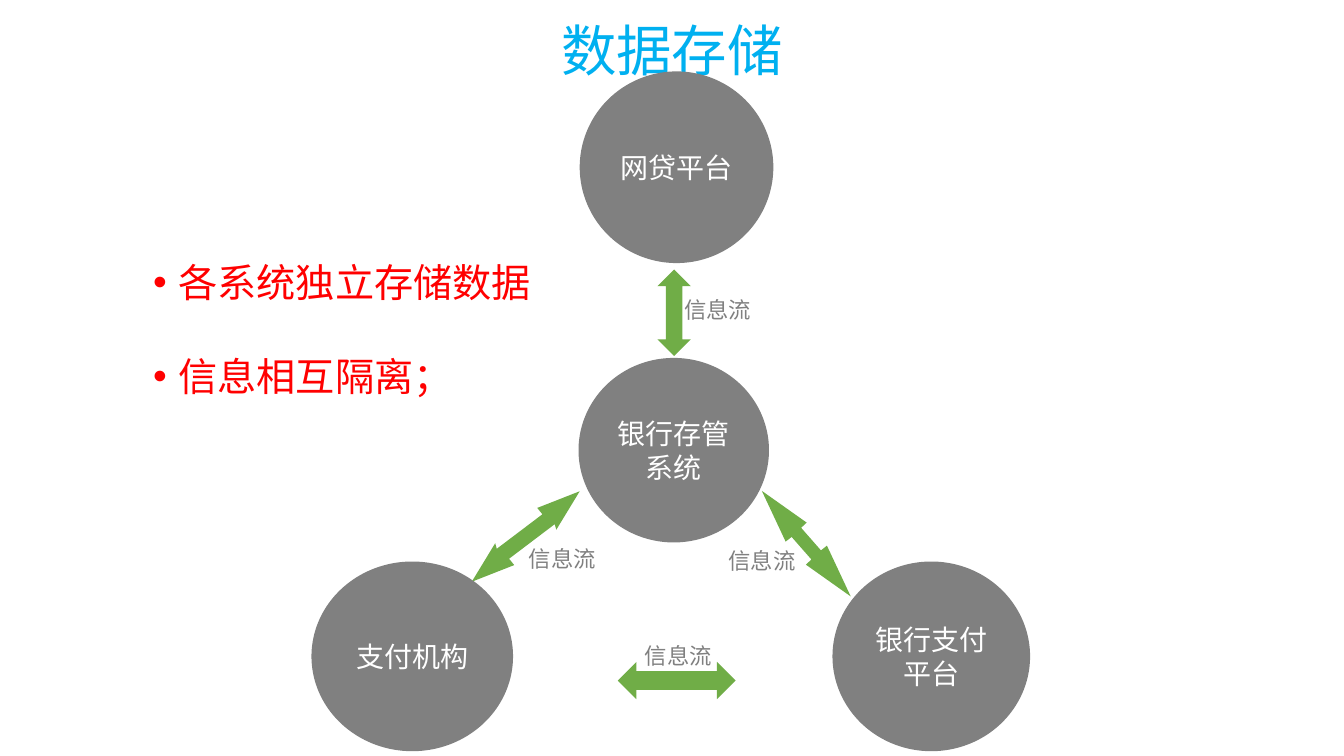
from lxml import etree
from pptx import Presentation
from pptx import util as u
from pptx.dml.color import RGBColor
from pptx.enum import shapes, text
from pptx.oxml import ns

BLUE = RGBColor(0x00, 0xB0, 0xF0)
GREEN = RGBColor(0x70, 0xAD, 0x47)
GREY = RGBColor(0x80, 0x80, 0x80)
RED = RGBColor(0xFF, 0x00, 0x00)
WHITE = RGBColor(0xFF, 0xFF, 0xFF)
CJK = "Noto Sans CJK SC"


def write(paragraph, content, *, size, color, font=CJK, align=None, spacing=None):
    paragraph.text = content
    paragraph.font.name = font
    paragraph.font.size = u.Pt(size)
    paragraph.font.color.rgb = color
    if align is not None:
        paragraph.alignment = align
    if spacing is not None:
        paragraph.line_spacing = spacing


def paint(shape, color):
    shape.shadow.inherit = False
    shape.fill.solid()
    shape.fill.fore_color.rgb = color
    shape.line.fill.background()


presentation = Presentation()
presentation.slide_width = u.Cm(33.87)
presentation.slide_height = u.Cm(19.05)
slide = presentation.slides.add_slide(presentation.slide_layouts[5])

# Title
title = slide.shapes.title
title.left, title.top, title.width, title.height = u.Cm(2.33), u.Cm(0), u.Cm(29.21), u.Cm(1.63)
title.text_frame.auto_size = text.MSO_AUTO_SIZE.NONE
title.text_frame.vertical_anchor = text.MSO_ANCHOR.MIDDLE
write(title.text_frame.paragraphs[0], "数据存储", size=39.6, color=BLUE,
      font="Calibri", align=text.PP_ALIGN.CENTER, spacing=1.5)

# Straight arrows
for kind, left, top, width, height in [
    (shapes.MSO_SHAPE.UP_DOWN_ARROW, 16.57, 6.79, 0.84, 2.18),
    (shapes.MSO_SHAPE.LEFT_RIGHT_ARROW, 15.57, 16.68, 2.97, 0.94),
]:
    arrow = slide.shapes.add_shape(kind, u.Cm(left), u.Cm(top), u.Cm(width), u.Cm(height))
    paint(arrow, GREEN)

# Slanted arrows: centre, then half of the outline as offsets;
# the other half is the same points turned by 180 degrees
for center_x, center_y, half in [
    (13.25, 13.52, [(1.36, -1.14), (0.29, -0.72), (0.42, -0.56), (-0.73, 0.31), (-0.77, 0.17)]),
    (20.32, 13.7, [(-1.12, -1.33), (0.01, -0.53), (-0.13, -0.4), (0.37, 0.17), (0.52, 0.05)]),
]:
    outline = half + [(-x, -y) for x, y in half]
    corners = [(u.Cm(center_x + x), u.Cm(center_y + y)) for x, y in outline]
    builder = slide.shapes.build_freeform(*corners[0])
    builder.add_line_segments(corners[1:], close=True)
    paint(builder.convert_to_shape(), GREEN)

# Flow labels
for left, top, width in [(16.99, 7.35, 2.72), (18.11, 13.67, 3.23),
                         (13.08, 13.6, 2.72), (16, 16.05, 2.72)]:
    label = slide.shapes.add_textbox(u.Cm(left), u.Cm(top), u.Cm(width), u.Cm(0.94))
    label.text_frame.word_wrap = True
    label.text_frame.auto_size = text.MSO_AUTO_SIZE.SHAPE_TO_FIT_TEXT
    write(label.text_frame.paragraphs[0], "信息流", size=16, color=GREY)

# System circles
for name, left, top, width, height in [
    ("网贷平台", 14.61, 1.8, 4.88, 4.83),
    ("银行存管系统", 14.58, 9.02, 4.8, 4.65),
    ("支付机构", 7.85, 14.15, 5.08, 4.78),
    ("银行支付平台", 20.98, 14.15, 4.98, 4.78),
]:
    circle = slide.shapes.add_shape(
        shapes.MSO_SHAPE.OVAL, u.Cm(left), u.Cm(top), u.Cm(width), u.Cm(height))
    paint(circle, GREY)
    frame = circle.text_frame
    frame.margin_left = frame.margin_right = frame.margin_top = frame.margin_bottom = 0
    frame.word_wrap = True
    frame.vertical_anchor = text.MSO_ANCHOR.MIDDLE
    write(frame.paragraphs[0], name, size=20, color=WHITE, align=text.PP_ALIGN.CENTER)

# Key points
points = slide.shapes.add_textbox(u.Cm(3.61), u.Cm(5.56), u.Cm(10.95), u.Cm(5.31))
points.text_frame.word_wrap = True
for index, point in enumerate(["各系统独立存储数据", "信息相互隔离；"]):
    if index == 0:
        paragraph = points.text_frame.paragraphs[0]
    else:
        paragraph = points.text_frame.add_paragraph()
        paragraph.space_before = u.Pt(10)
    properties = paragraph._p.get_or_add_pPr()
    properties.set("marL", str(u.Cm(0.64)))
    properties.set("indent", str(-u.Cm(0.64)))
    etree.SubElement(properties, ns.qn("a:buFont")).set("typeface", "Arial")
    etree.SubElement(properties, ns.qn("a:buChar")).set("char", "•")
    write(paragraph, point, size=28, color=RED, font="Calibri", spacing=1.7)

presentation.save("out.pptx")
